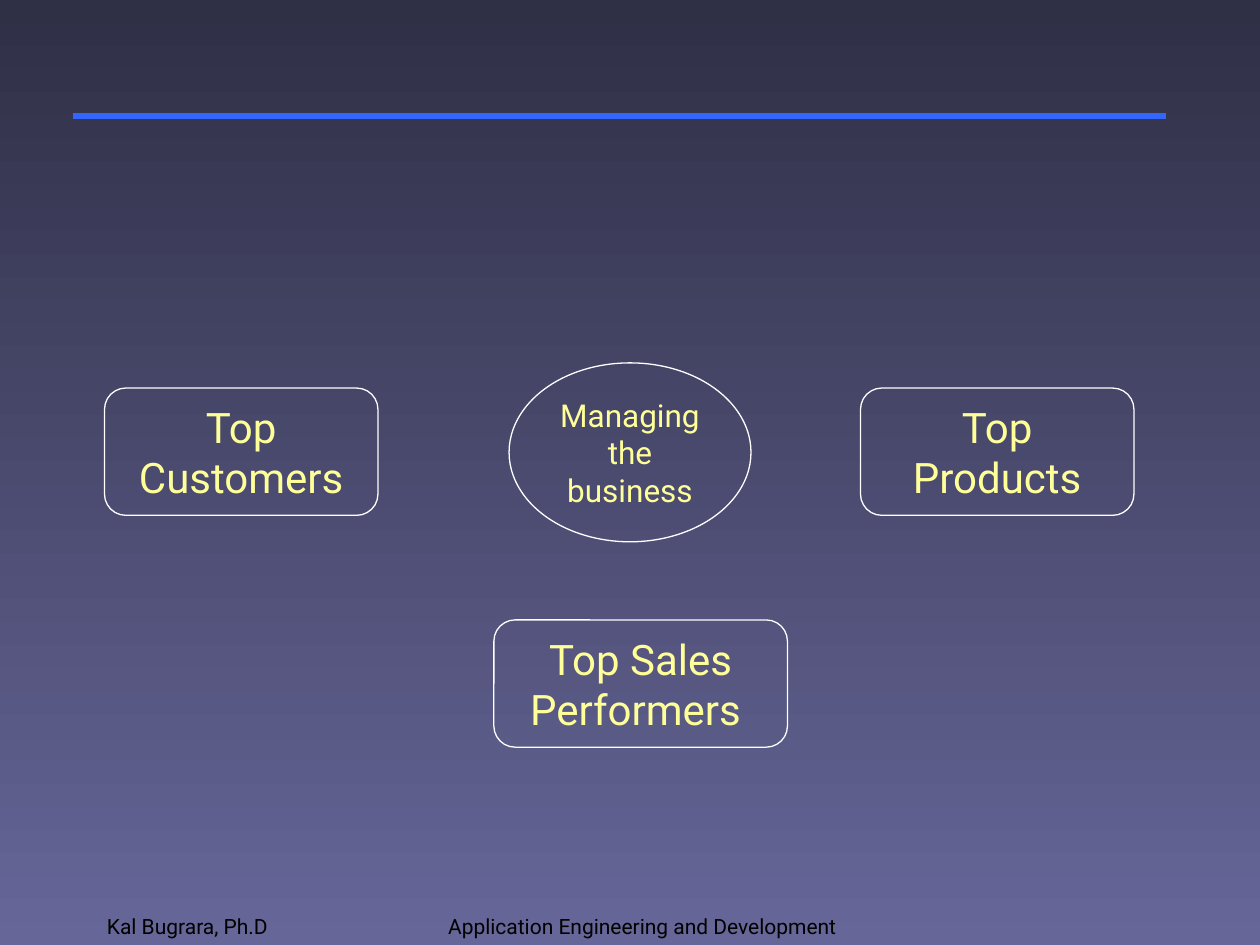
from lxml import etree
from pptx import Presentation
from pptx.dml.color import RGBColor
from pptx.enum import shapes, text
from pptx.oxml.ns import qn
from pptx.util import Inches, Pt

FONT = "Roboto"
NIGHT = RGBColor(0x2F, 0x2F, 0x46)
VIOLET = RGBColor(0x66, 0x66, 0x99)
BLUE = RGBColor(0x33, 0x66, 0xFF)
WHITE = RGBColor(0xFF, 0xFF, 0xFF)
YELLOW = RGBColor(0xFF, 0xFF, 0x99)
BLACK = RGBColor(0, 0, 0)

ROUNDED = shapes.MSO_SHAPE.ROUNDED_RECTANGLE
CIRCLE = shapes.MSO_SHAPE.FLOWCHART_CONNECTOR


def set_background(slide):
    fill = slide.background.fill
    fill.gradient()
    fill.gradient_angle = 270
    for stop, position, color in zip(fill.gradient_stops, (0, 1), (NIGHT, VIOLET)):
        stop.position = position
        stop.color.rgb = color


def write(sp, content, size, color, align, anchor):
    tf = sp.text_frame
    tf.word_wrap = True
    tf.vertical_anchor = anchor
    p = tf.paragraphs[0]
    p.alignment = align
    r = p.add_run()
    r.text = content
    r.font.name = FONT
    r.font.size = Pt(size)
    r.font.color.rgb = color


def add_rule(slide, left, right, y):
    line = slide.shapes.add_connector(
        shapes.MSO_CONNECTOR.STRAIGHT, Inches(left), Inches(y), Inches(right), Inches(y))
    line.line.color.rgb = BLUE
    line.line.width = Pt(3)
    etree.SubElement(line._element.spPr, qn("a:effectLst"))


def add_footer(slide, content, left, width, align, right_inset=0.1):
    sp = slide.shapes.add_textbox(Inches(left), Inches(7), Inches(width), Inches(0.5))
    sp.text_frame.margin_right = Inches(right_inset)
    write(sp, content, 12, BLACK, align, text.MSO_ANCHOR.BOTTOM)


def add_node(slide, kind, content, left, top, width, height, size):
    sp = slide.shapes.add_shape(
        kind, Inches(left), Inches(top), Inches(width), Inches(height))
    sp.shadow.inherit = False
    sp.fill.background()
    sp.line.color.rgb = WHITE
    sp.line.width = Pt(0.75)
    write(sp, content, size, YELLOW, text.PP_ALIGN.CENTER, text.MSO_ANCHOR.MIDDLE)


def main():
    prs = Presentation()
    prs.slide_width, prs.slide_height = Inches(10), Inches(7.5)
    slide = prs.slides.add_slide(prs.slide_layouts[6])
    set_background(slide)
    add_rule(slide, 0.58, 9.25, 0.92)
    add_footer(slide, "Kal Bugrara, Ph.D", 0.75, 2.08, text.PP_ALIGN.LEFT)
    add_footer(slide, "Application Engineering and Development", 3.17, 6,
               text.PP_ALIGN.CENTER, right_inset=2.24)
    for content, left, top, width in (
        ("Top Customers", 0.83, 3.08, 2.17),
        ("Top Products", 6.83, 3.08, 2.17),
        ("Top Sales Performers ", 3.92, 4.92, 2.33),
    ):
        add_node(slide, ROUNDED, content, left, top, width, 1.01, 24)
    add_node(slide, CIRCLE, "Managing the business", 4.04, 2.88, 1.92, 1.42, 18)
    prs.save("out.pptx")


if __name__ == "__main__":
    main()
